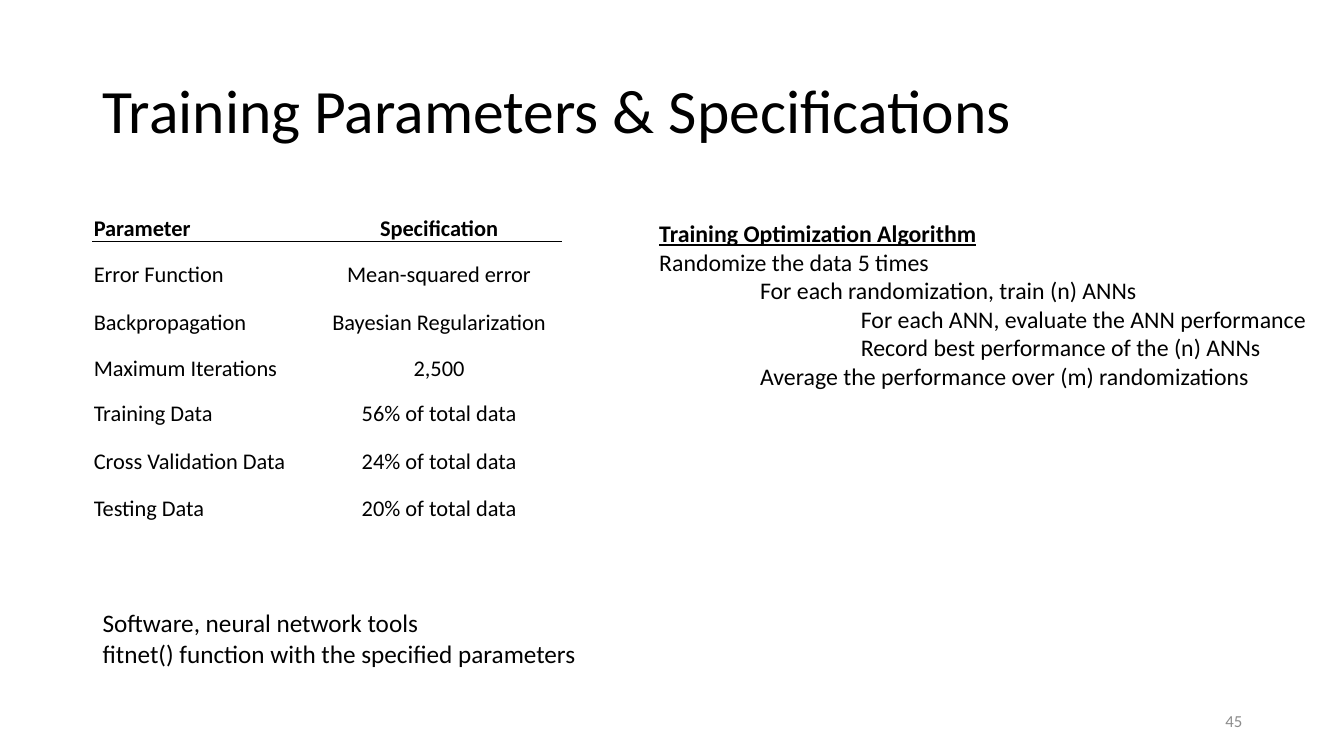
from lxml.etree import SubElement
from pptx import Presentation
from pptx.dml.color import RGBColor
from pptx.enum.text import MSO_ANCHOR, PP_ALIGN
from pptx.oxml.ns import qn
from pptx.util import Inches, Pt

# Content
TITLE = "Training Parameters & Specifications"
PARAMETERS = [
    ("Parameter", "Specification"),
    ("Error Function", "Mean-squared error"),
    ("Backpropagation", "Bayesian Regularization"),
    ("Maximum Iterations", "2,500"),
    ("Training Data", "56% of total data"),
    ("Cross Validation Data", "24% of total data"),
    ("Testing Data", "20% of total data"),
]
COLUMN_WIDTHS = [2.22, 2.43]
ROW_HEIGHTS = [0.27, 0.47, 0.47, 0.46, 0.45, 0.47, 0.47]
ALGORITHM_HEADING = "Training Optimization Algorithm"
ALGORITHM_STEPS = [  # indent level, step
    (0, "Randomize the data 5 times"),
    (1, "For each randomization, train (n) ANNs"),
    (2, "For each ANN, evaluate the ANN performance"),
    (2, "Record best performance of the (n) ANNs"),
    (1, "Average the performance over (m) randomizations"),
]
TOOL_NOTES = [
    "Software, neural network tools",
    "fitnet() function with the specified parameters",
]
PAGE_NUMBER = "45"

BLACK, WHITE, GRAY = "000000", "FFFFFF", "8C8C8C"
LEFT = 0.92
CONTENT_TOP = 2.12


def color(hex_text):
    return RGBColor.from_string(hex_text)


def write(frame, text, size, hex_color=BLACK, bold=False, underline=False,
          align=PP_ALIGN.LEFT, level=0, spacing=None):
    """Fill the first empty paragraph, or add one after the last."""
    paragraph = frame.paragraphs[-1]
    if paragraph.runs:
        paragraph = frame.add_paragraph()
    if level:
        properties = paragraph._p.get_or_add_pPr()
        properties.set("marL", str(Inches(level)))
        properties.set("indent", "0")
    paragraph.alignment = align
    if spacing:
        paragraph.line_spacing = spacing
    run = paragraph.add_run()
    run.text = text
    font = run.font
    font.name, font.size = "Calibri", Pt(size)
    font.bold, font.underline = bold, underline
    font.color.rgb = color(hex_color)


def add_frame(left, top, width, height, anchor=MSO_ANCHOR.TOP, wrap=True):
    box = slide.shapes.add_textbox(
        Inches(left), Inches(top), Inches(width), Inches(height))
    frame = box.text_frame
    frame.word_wrap = wrap
    frame.vertical_anchor = anchor
    return frame


def set_borders(cell, top, bottom):
    properties = cell._tc.get_or_add_tcPr()
    sides = {"a:lnL": WHITE, "a:lnR": WHITE, "a:lnT": top, "a:lnB": bottom}
    for tag, hex_color in sides.items():
        line = SubElement(properties, qn(tag), w=str(Pt(1)))
        fill = SubElement(line, qn("a:solidFill"))
        SubElement(fill, qn("a:srgbClr"), val=hex_color)


presentation = Presentation()
presentation.slide_width = Inches(13.33)
presentation.slide_height = Inches(7.5)
slide = presentation.slides.add_slide(presentation.slide_layouts[6])

# Title
write(add_frame(LEFT, 0.4, 11.5, 1.45, MSO_ANCHOR.MIDDLE), TITLE, 44, spacing=0.9)

# Parameter table
table = slide.shapes.add_table(
    len(PARAMETERS), len(COLUMN_WIDTHS), Inches(LEFT), Inches(CONTENT_TOP),
    Inches(sum(COLUMN_WIDTHS)), Inches(sum(ROW_HEIGHTS))).table
table.first_row = table.horz_banding = False
for column, width in zip(table.columns, COLUMN_WIDTHS):
    column.width = Inches(width)
for row_index, (row, values) in enumerate(zip(table.rows, PARAMETERS)):
    row.height = Inches(ROW_HEIGHTS[row_index])
    is_header = row_index == 0
    for cell, text, align in zip(row.cells, values, (PP_ALIGN.LEFT, PP_ALIGN.CENTER)):
        cell.margin_left = cell.margin_right = cell.margin_top = Inches(0.01)
        cell.margin_bottom = 0
        cell.vertical_anchor = MSO_ANCHOR.BOTTOM
        set_borders(cell, top=BLACK if row_index == 1 else WHITE,
                    bottom=BLACK if is_header else WHITE)
        cell.fill.background()
        write(cell.text_frame, text, 16, bold=is_header, align=align)

# Tool notes
notes_frame = add_frame(LEFT, 5.98, 4.96, 0.71, wrap=False)
for note in TOOL_NOTES:
    write(notes_frame, note, 18)

# Optimization algorithm
algorithm_frame = add_frame(6.44, CONTENT_TOP, 6.66, 1.82)
write(algorithm_frame, ALGORITHM_HEADING, 17, bold=True, underline=True)
for level, step in ALGORITHM_STEPS:
    write(algorithm_frame, step, 17, level=level)

# Page number
write(add_frame(9.42, 6.95, 3, 0.4, MSO_ANCHOR.MIDDLE), PAGE_NUMBER, 12,
      hex_color=GRAY, align=PP_ALIGN.RIGHT)

presentation.save("out.pptx")
